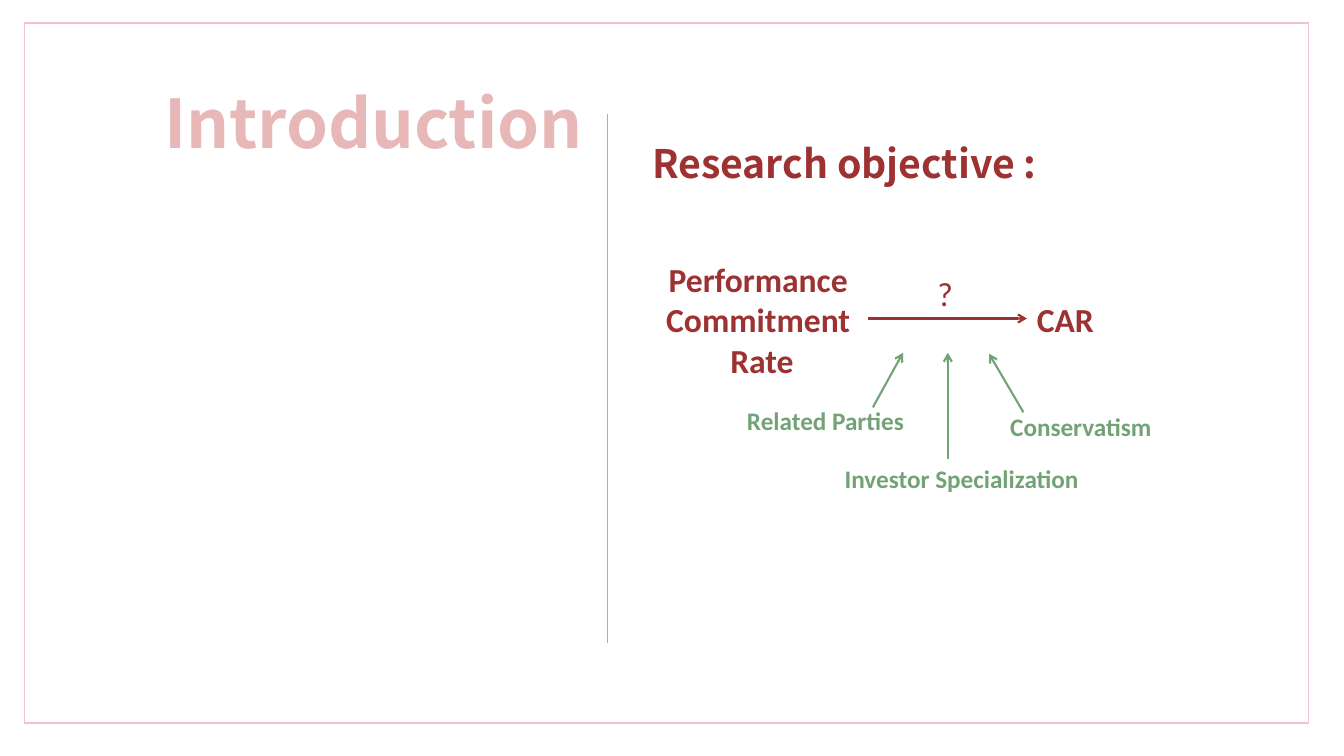
from lxml import etree
from pptx import Presentation
from pptx import util as u
from pptx.dml import color
from pptx.enum import shapes, text as t
from pptx.oxml import ns

COLOURS = {
    "title": "E8B7B7",
    "frame": "F3C0DB",
    "divider": "DE9898",
    "main": "9D3232",
    "moderator": "72A376",
}
HEADING_FONT = "Noto Sans CJK SC"
LABEL_FONT = "Calibri"


def rgb(name):
    return color.RGBColor.from_string(COLOURS[name])


def points(*values):
    return [u.Pt(value) for value in values]


def write(box, words, size, colour, font=LABEL_FONT, bold=True,
          align=t.PP_ALIGN.LEFT, wrap=False):
    frame = box.text_frame
    frame.text = words
    frame.word_wrap = wrap
    frame.auto_size = t.MSO_AUTO_SIZE.NONE
    frame.vertical_anchor = t.MSO_ANCHOR.MIDDLE
    for para in frame.paragraphs:
        para.alignment = align
        para.line_spacing = 1.0
        for span in para.runs:
            span.font.name = font
            span.font.size = u.Pt(size)
            span.font.bold = bold
            span.font.color.rgb = rgb(colour)


def add_title(page, words, place):
    title = page.shapes.title
    title.left, title.top, title.width, title.height = points(*place)
    write(title, words, 48, "title", HEADING_FONT, wrap=True)


def add_label(page, words, place, size, colour, **style):
    box = page.shapes.add_textbox(*points(*place))
    write(box, words, size, colour, **style)


def add_frame(page, place):
    frame = page.shapes.add_shape(shapes.MSO_SHAPE.RECTANGLE, *points(*place))
    frame.shadow.inherit = False
    frame.fill.background()
    frame.line.color.rgb = rgb("frame")
    frame.line.width = u.Pt(1)


def add_line(page, ends, colour, width=1.5, arrow=True):
    line = page.shapes.add_connector(shapes.MSO_CONNECTOR.STRAIGHT, *points(*ends))
    line.line.color.rgb = rgb(colour)
    line.line.width = u.Pt(width)
    if arrow:
        etree.SubElement(line.line._get_or_add_ln(), ns.qn("a:tailEnd"), type="arrow")
    etree.SubElement(line._element.spPr, ns.qn("a:effectLst"))


def main():
    deck = Presentation()
    deck.slide_width, deck.slide_height = points(960, 540)
    page = deck.slides.add_slide(deck.slide_layouts[5])

    add_title(page, "Introduction", (110, 54, 332, 65.5))
    add_frame(page, (17.5, 16.5, 917, 500))
    add_label(page, "Research objective :", (458.8, 95.6, 333, 41.2), 28, "main",
              font=HEADING_FONT, wrap=True)
    add_line(page, (433.5, 81.5, 433.5, 459.5), "divider", 0.5, arrow=False)

    add_label(page, "Performance \nCommitment \nRate", (468.7, 181, 151.2, 94.5),
              24, "main", align=t.PP_ALIGN.CENTER)
    add_label(page, "CAR", (733.5, 209.7, 63, 36), 24, "main")
    add_line(page, (620, 227.5, 733.5, 227.5), "main")
    add_label(page, "?", (662.4, 191.5, 25.2, 36), 24, "main", bold=False)

    moderators = [
        ("Related Parties", (526.5, 286, 126.7, 29), (623.5, 291, 645, 252)),
        ("Investor Specialization", (596.2, 327, 181.4, 29), (677, 327.6, 677, 252)),
        ("Conservatism", (714.5, 290.3, 116, 29), (731, 294.5, 706.5, 252.7)),
    ]
    for words, place, ends in moderators:
        add_line(page, ends, "moderator")
        add_label(page, words, place, 18, "moderator")

    deck.save("out.pptx")


if __name__ == "__main__":
    main()
